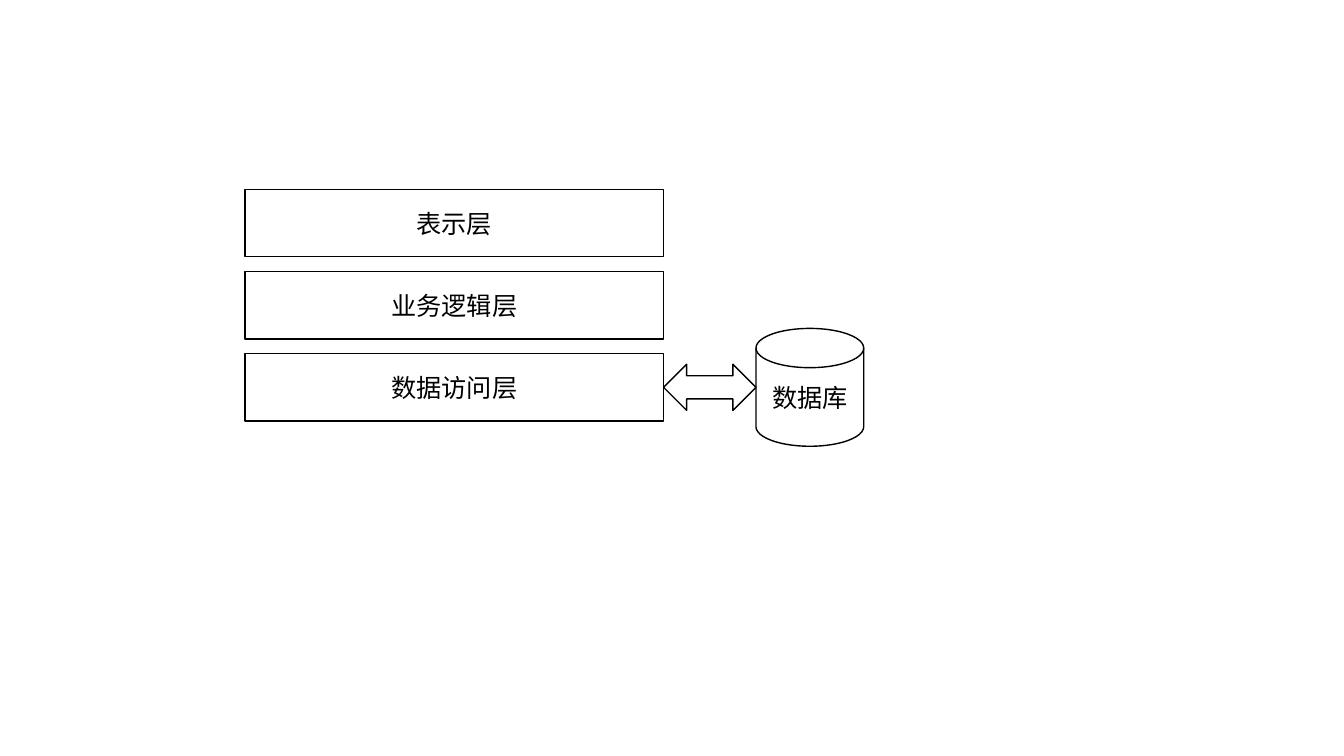
import pptx
import pptx.util
import pptx.dml.color
import pptx.enum.shapes
import pptx.enum.text

Pt = pptx.util.Pt
SHAPES = pptx.enum.shapes.MSO_SHAPE
BLACK = pptx.dml.color.RGBColor(0x00, 0x00, 0x00)
WHITE = pptx.dml.color.RGBColor(0xFF, 0xFF, 0xFF)
LAYERS = ("表示层", "业务逻辑层", "数据访问层")


def add_outlined(slide, kind, left, top, width, height, label=""):
    """Add a white shape with a black outline and an optional centred label."""
    outlined = slide.shapes.add_shape(kind, Pt(left), Pt(top), Pt(width), Pt(height))
    outlined.shadow.inherit = False
    outlined.fill.solid()
    outlined.fill.fore_color.rgb = WHITE
    outlined.line.color.rgb = BLACK
    outlined.line.width = Pt(1)
    if label:
        outlined.text_frame.vertical_anchor = pptx.enum.text.MSO_ANCHOR.MIDDLE
        paragraph = outlined.text_frame.paragraphs[0]
        paragraph.text = label
        paragraph.alignment = pptx.enum.text.PP_ALIGN.CENTER
        paragraph.font.name = "Times New Roman"
        paragraph.font.size = Pt(18)
        paragraph.font.color.rgb = BLACK


def add_layers(slide, left, top, width, height, gap=10.5):
    """Stack the layers in the box and return the middle height of the last one."""
    layer_height = (height - gap * (len(LAYERS) - 1)) / len(LAYERS)
    for index, layer in enumerate(LAYERS):
        layer_top = top + index * (layer_height + gap)
        add_outlined(slide, SHAPES.RECTANGLE, left, layer_top, width, layer_height, layer)
    return top + height - layer_height / 2


def add_database(slide, left, middle, width, height, arrow_width=66, arrow_height=33):
    """Place the exchange arrow and the database side by side about a middle line."""
    add_outlined(slide, SHAPES.FLOWCHART_MAGNETIC_DISK, left + arrow_width,
                 middle - height / 2, width - arrow_width, height, "数据库")
    add_outlined(slide, SHAPES.LEFT_RIGHT_ARROW, left,
                 middle - arrow_height / 2, arrow_width, arrow_height)


def main():
    """Build the layered architecture slide."""
    presentation = pptx.Presentation()
    presentation.slide_width = Pt(960)
    presentation.slide_height = Pt(540)
    slide = presentation.slides.add_slide(presentation.slide_layouts[6])
    left, top, width, height = 175, 135.2, 299, 165.6
    access_middle = add_layers(slide, left, top, width, height)
    add_database(slide, left + width, access_middle, 143, 84.2)
    presentation.save("out.pptx")


if __name__ == "__main__":
    main()
